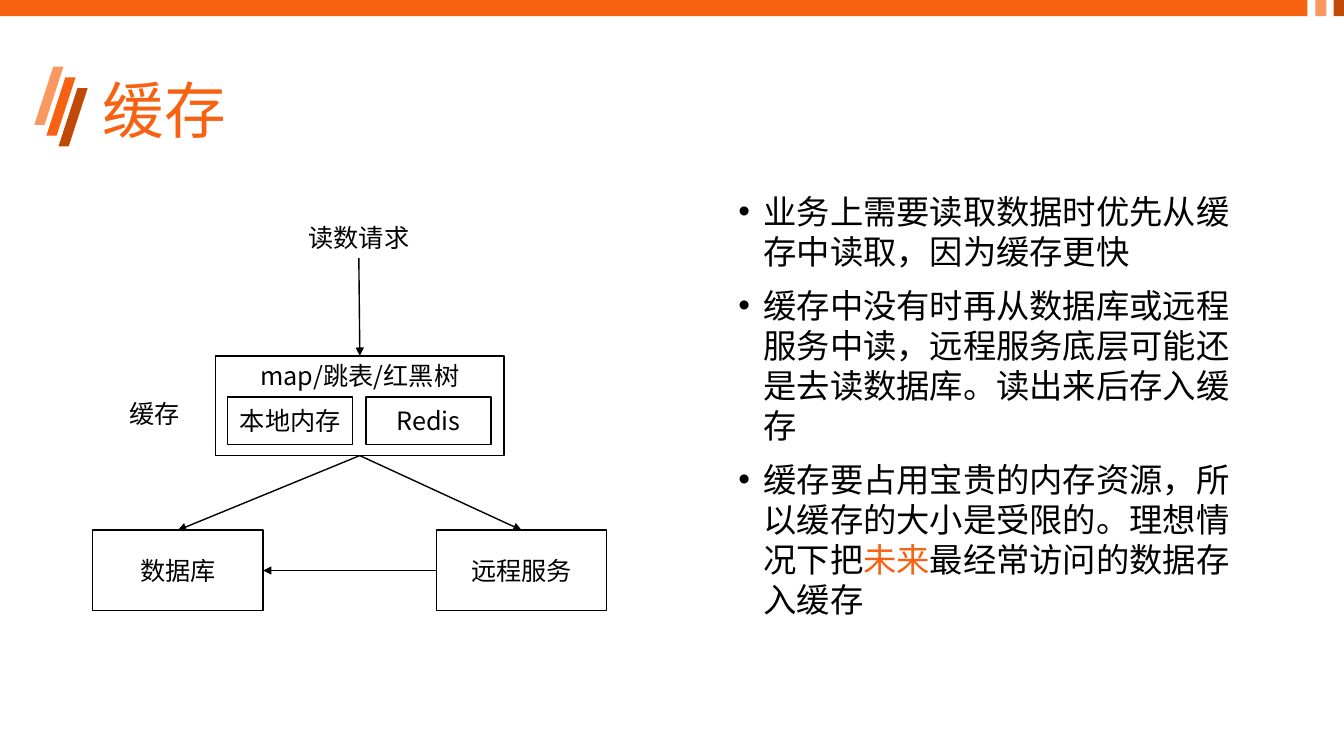
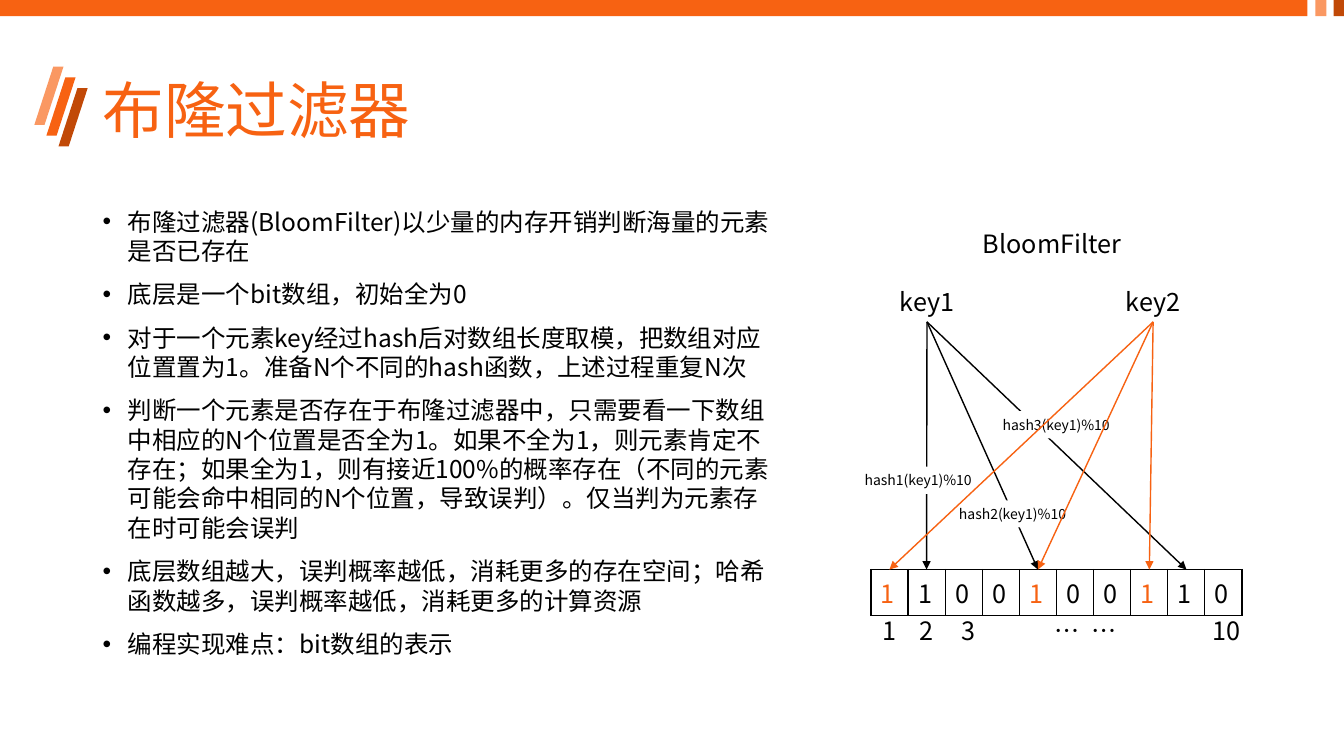
from lxml import etree
from pptx import Presentation
from pptx.dml.color import RGBColor
from pptx.enum.shapes import MSO_CONNECTOR, MSO_SHAPE
from pptx.enum.text import MSO_ANCHOR as ANCHOR, PP_ALIGN as ALIGN
from pptx.oxml.ns import qn
from pptx.shapes.connector import Connector
from pptx.util import Inches, Pt

COLORS = {
    "main": "F76212",
    "light": "FA9862",
    "dark": "C14907",
    "text": "000000",
    "paper": "FFFFFF",
}
RGB = {name: RGBColor.from_string(value) for name, value in COLORS.items()}
FONT = "Noto Sans CJK SC"
COLUMNS, ROWS = 80, 45
CELL = Inches(1 / 6)  # side of one square of the slide grid
LABEL_ROWS = 2.4
RECT = MSO_SHAPE.RECTANGLE


def style(paragraph, size, color="text"):
    paragraph.font.size = Pt(size)
    paragraph.font.color.rgb = RGB[color]
    paragraph.font.name = FONT
    defaults = paragraph._p.pPr.find(qn("a:defRPr"))
    etree.SubElement(defaults, qn("a:ea"), typeface=FONT)


def add_box(slide, box, text="", size=18, fill=None, outline=False, preset=RECT):
    """Add a box given in grid units, with centred text; no fill makes a text box."""
    place = [int(units * CELL) for units in box]
    if fill:
        shape = slide.shapes.add_shape(preset, *place)
        shape.shadow.inherit = False
        shape.fill.solid()
        shape.fill.fore_color.rgb = RGB[fill]
        if outline:
            shape.line.color.rgb = RGB["text"]
            shape.line.width = Pt(1)
        else:
            shape.line.fill.background()
    else:
        shape = slide.shapes.add_textbox(*place)
    if text:
        frame = shape.text_frame
        frame.word_wrap = True
        frame.margin_left = frame.margin_right = 0
        frame.margin_top = frame.margin_bottom = 0
        frame.vertical_anchor = ANCHOR.MIDDLE
        paragraph = frame.paragraphs[0]
        paragraph.text = text
        paragraph.alignment = ALIGN.CENTER
        style(paragraph, size)
    return shape


presentation = Presentation()
presentation.slide_width = COLUMNS * CELL
presentation.slide_height = ROWS * CELL
blank = presentation.slide_layouts[6]

# Each bullet is a list of (text, colour) runs
pages = [
    {
        "title": "缓存",
        "body": (43.36, 11.1, 31.2, 27.12),
        "size": 23.8,
        "bullets": [
            [("业务上需要读取数据时优先从缓存中读取，因为缓存更快", "text")],
            [("缓存中没有时再从数据库或远程服务中读，远程服务底层可能还是去读数据库。"
              "读出来后存入缓存", "text")],
            [("缓存要占用宝贵的内存资源，所以缓存的大小是受限的。理想情况下把", "text"),
             ("未来", "main"),
             ("最经常访问的数据存入缓存", "text")],
        ],
    },
    {
        "title": "布隆过滤器",
        "body": (5.52, 12, 41.58, 28.56),
        "size": 17.5,
        "bullets": [
            [("布隆过滤器(BloomFilter)以少量的内存开销判断海量的元素是否已存在", "text")],
            [("底层是一个bit数组，初始全为0", "text")],
            [("对于一个元素key经过hash后对数组长度取模，把数组对应位置置为1。"
              "准备N个不同的hash函数，上述过程重复N次", "text")],
            [("判断一个元素是否存在于布隆过滤器中，只需要看一下数组中相应的N个位置是否全为1。"
              "如果不全为1，则元素肯定不存在；如果全为1，则有接近100%的概率存在"
              "（不同的元素可能会命中相同的N个位置，导致误判）。"
              "仅当判为元素存在时可能会误判", "text")],
            [("底层数组越大，误判概率越低，消耗更多的存在空间；"
              "哈希函数越多，误判概率越低，消耗更多的计算资源", "text")],
            [("编程实现难点：bit数组的表示", "text")],
        ],
    },
]

# Frame, title and bullets of both slides
for page in pages:
    slide = presentation.slides.add_slide(blank)

    for step, color in enumerate(["light", "main", "dark"]):
        stripe = add_box(slide, (2.04 + 0.72 * step, 3.96 + 0.64 * step, 1.74, 3.48),
                         fill=color, preset=MSO_SHAPE.PARALLELOGRAM)
        stripe.adjustments[0] = 0.65
    for left, width, color in [(0, 77.82, "main"), (78.3, 0.66, "light"),
                               (79.38, 0.62, "dark")]:
        add_box(slide, (left, 0, width, 0.96), fill=color)

    title = add_box(slide, (5.52, 2.4, 69, 8.7), page["title"], 44)
    title.text_frame.margin_left = Inches(0.1)
    heading = title.text_frame.paragraphs[0]
    heading.alignment = ALIGN.LEFT
    heading.line_spacing = 0.9
    heading.font.color.rgb = RGB["main"]

    frame = add_box(slide, page["body"]).text_frame
    frame.word_wrap = True
    for index, runs in enumerate(page["bullets"]):
        paragraph = frame.add_paragraph() if index else frame.paragraphs[0]
        paragraph.space_before = Pt(10 if index else 0)
        properties = paragraph._p.get_or_add_pPr()
        properties.set("marL", str(Inches(0.25)))
        properties.set("indent", str(-Inches(0.25)))
        etree.SubElement(properties, qn("a:buFont"), typeface="Arial")
        etree.SubElement(properties, qn("a:buChar"), char="•")
        style(paragraph, page["size"])
        for text, color in runs:
            run = paragraph.add_run()
            run.text = text
            if color != "text":
                run.font.color.rgb = RGB[color]

cache_slide, bloom_slide = presentation.slides

# Cache diagram
request = add_box(cache_slide, (17.73, 12.96, 7.26, LABEL_ROWS), "读数请求")
add_box(cache_slide, (7.08, 23.43, 4.26, LABEL_ROWS), "缓存")
cache = add_box(cache_slide, (12.84, 21.18, 17.16, 5.94), "map/跳表/红黑树",
                fill="paper", outline=True)
cache.text_frame.vertical_anchor = ANCHOR.TOP
cache.text_frame.margin_top = Inches(0.04)
for left, store in [(13.56, "本地内存"), (21.78, "Redis")]:
    add_box(cache_slide, (left, 23.64, 7.44, 2.82), store, fill="paper", outline=True)
database, remote = [
    add_box(cache_slide, (left, 31.56, 10.14, 4.8), text, fill="paper", outline=True)
    for left, text in [(5.52, "数据库"), (25.98, "远程服务")]
]
for start, start_side, end, end_side in [
    (request, 2, cache, 0),
    (cache, 2, remote, 0),
    (cache, 2, database, 0),
    (remote, 1, database, 3),
]:
    arrow = cache_slide.shapes.add_connector(MSO_CONNECTOR.STRAIGHT, 0, 0, 0, 0)
    arrow.begin_connect(start, start_side)
    arrow.end_connect(end, end_side)
    arrow.line.color.rgb = RGB["text"]

# Bit array
bits = "1100100110"
key2_bits = [0, 4, 7]
table_left, table_top, bit_width, bit_height = 51.84, 33.9, 2.21, 2.76
centers = [bit_width * (index + 0.5) for index in range(len(bits))]

table_frame = bloom_slide.shapes.add_table(
    1, len(bits), int(table_left * CELL), int(table_top * CELL),
    int(bit_width * len(bits) * CELL), int(bit_height * CELL))
table = table_frame.table
table.first_row = table.horz_banding = False
for index, bit in enumerate(bits):
    table.columns[index].width = int(bit_width * CELL)
    cell = table.cell(0, index)
    cell.text = bit
    style(cell.text_frame.paragraphs[0], 18, "main" if index in key2_bits else "text")
    cell_properties = cell._tc.get_or_add_tcPr()
    for side in ["lnL", "lnR", "lnT", "lnB"]:
        border = etree.SubElement(cell_properties, qn(f"a:{side}"), w=str(Pt(1)))
        border_fill = etree.SubElement(border, qn("a:solidFill"))
        etree.SubElement(border_fill, qn("a:srgbClr"), val=COLORS["text"])
    cell.fill.background()

# Positions under the array: centred tab stops, counted in bit widths
numbers = [(0.5, "1"), (1.5, "2"), (2.63, "3"), (5.28, "…"), (6.28, "…"), (9.57, "10")]
ruler = add_box(bloom_slide, (table_left, 36.33, 24, LABEL_ROWS))
ruler.text_frame.margin_left = ruler.text_frame.margin_right = 0
ruler.text_frame.vertical_anchor = ANCHOR.MIDDLE
paragraph = ruler.text_frame.paragraphs[0]
paragraph.text = "".join("\t" + number for _, number in numbers)
tab_list = etree.SubElement(paragraph._p.get_or_add_pPr(), qn("a:tabLst"))
for offset, _ in numbers:
    etree.SubElement(tab_list, qn("a:tab"), pos=str(int(offset * bit_width * CELL)),
                     algn="ctr")
style(paragraph, 18)

# Keys, their arrows to the bits and the hash labels
add_box(bloom_slide, (57.68, 13.3, 9.9, LABEL_ROWS), "BloomFilter")
hash_places = [(50.84, 27.78), (56.46, 29.78), (59.06, 24.48)]
for name, left, color, targets, label_places in [
    ("key1", 52.96, "text", [1, 4, 8], hash_places),
    ("key2", 66.42, "main", key2_bits, []),
]:
    key = add_box(bloom_slide, (left, 16.76, 4.44, LABEL_ROWS), name)
    for target in targets:
        arrow = bloom_slide.shapes.add_connector(
            MSO_CONNECTOR.STRAIGHT, 0, 0,
            int((table_left + centers[target]) * CELL), int(table_top * CELL))
        arrow.begin_connect(key, 2)
        arrow.line.color.rgb = RGB[color]
    for number, place in enumerate(label_places, 1):
        add_box(bloom_slide, (*place, 7.62, 1.62), f"hash{number}({name})%10", 10,
                fill="paper")

# Arrow style
for slide in presentation.slides:
    for shape in slide.shapes:
        if isinstance(shape, Connector):
            shape.line.width = Pt(1)
            etree.SubElement(shape.line._get_or_add_ln(), qn("a:tailEnd"), type="triangle")
            etree.SubElement(shape._element.spPr, qn("a:effectLst"))

presentation.save("out.pptx")
